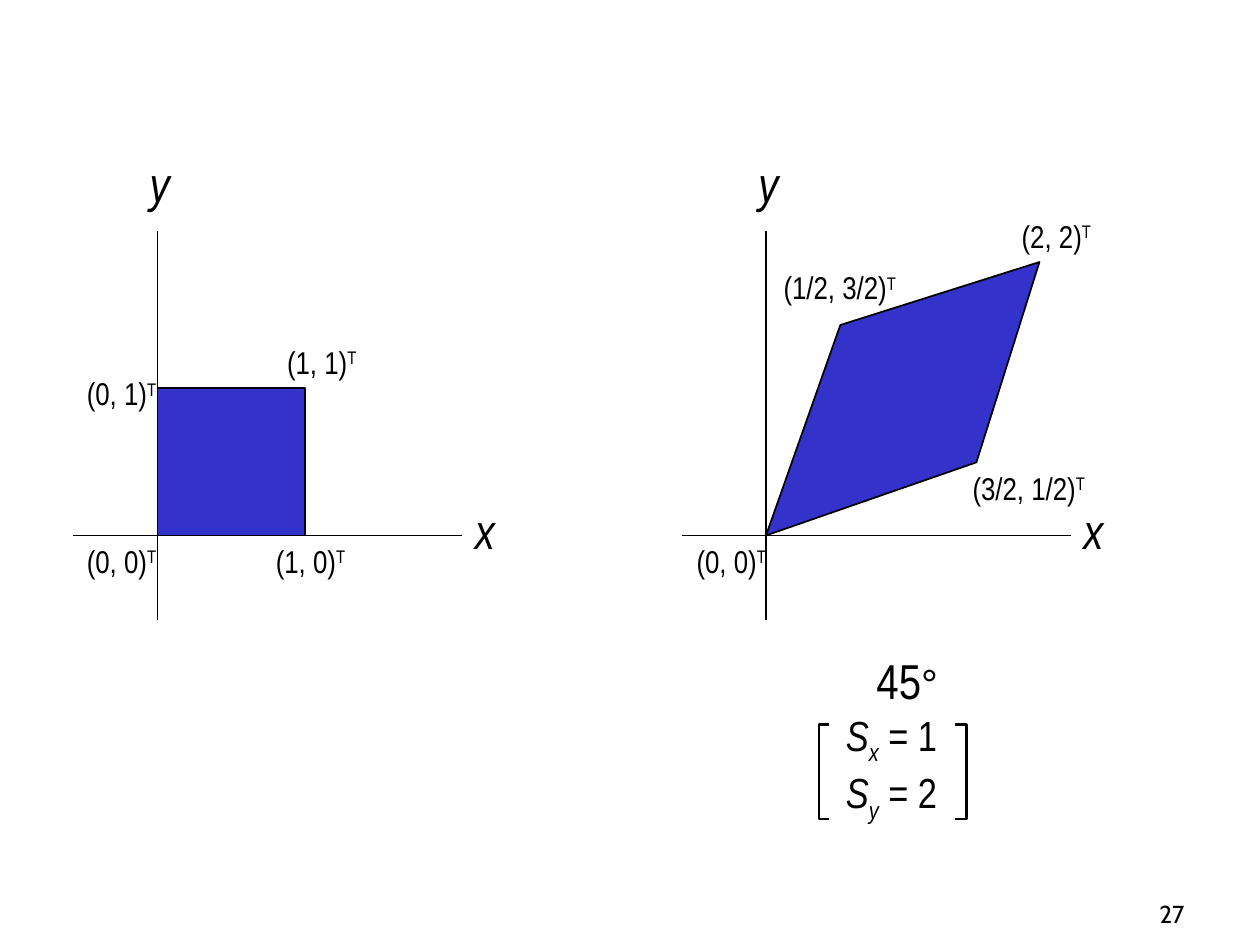
from pptx import Presentation
from pptx.dml.color import RGBColor
from pptx.enum import shapes, text
from pptx.oxml import ns, xmlchemy
from pptx.util import Inches, Pt

BLACK = RGBColor(0x00, 0x00, 0x00)
BLUE = RGBColor(0x33, 0x33, 0xCC)
LABEL_FONT = "Arial Narrow"
NUMBER_FONT = "Cabin"
ORIGIN_Y = 4.25
LEFT_X, RIGHT_X = 1.25, 6.08
UNIT = 1.17


def add_run(paragraph, content, size, italic=False, baseline=0, font=LABEL_FONT):
    """Add a black run, raised or lowered by a baseline percentage."""
    run = paragraph.add_run()
    run.text = content
    run.font.name = font
    run.font.size = Pt(size)
    run.font.italic = italic
    run.font.color.rgb = BLACK
    if baseline:
        run.font._element.set("baseline", str(baseline * 1000))


def add_text_frame(slide, left, top, width, height):
    """Add an unwrapped text box and return its text frame."""
    box = slide.shapes.add_textbox(*map(Inches, (left, top, width, height)))
    frame = box.text_frame
    frame.word_wrap = False
    frame.auto_size = text.MSO_AUTO_SIZE.SHAPE_TO_FIT_TEXT
    return frame


def add_axis(slide, start, end):
    """Add a thin black line between two points."""
    line = slide.shapes.add_connector(
        shapes.MSO_CONNECTOR.STRAIGHT, *map(Inches, start + end))
    line.line.color.rgb = BLACK
    line.line.width = Pt(1)
    line._element.spPr.append(xmlchemy.OxmlElement("a:effectLst"))


def add_axis_name(slide, name, left, top):
    """Add the italic name of an axis."""
    frame = add_text_frame(slide, left, top, 0.36, 0.57)
    add_run(frame.paragraphs[0], name, 28, italic=True)


def add_axes(slide, origin_x):
    """Add a named pair of axes crossing at the origin."""
    add_axis(slide, (origin_x - 0.67, ORIGIN_Y), (origin_x + 2.42, ORIGIN_Y))
    add_axis(slide, (origin_x, ORIGIN_Y + 0.67), (origin_x, ORIGIN_Y - 2.42))
    add_axis_name(slide, "x", origin_x + 2.42, 3.92)
    add_axis_name(slide, "y", origin_x - 0.16, 1.17)


def add_point_label(slide, point, left, top):
    """Add the coordinates of a point as a transposed vector."""
    width = 1.09 if "/" in point else 0.75
    paragraph = add_text_frame(slide, left, top, width, 0.4).paragraphs[0]
    add_run(paragraph, point, 18)
    add_run(paragraph, "T", 18, baseline=30)


def style_shape(shape, line_width, fill=None):
    """Give a shape a black outline, an optional fill and no shadow."""
    shape.shadow.inherit = False
    shape.line.color.rgb = BLACK
    shape.line.width = Pt(line_width)
    if fill is None:
        shape.fill.background()
    else:
        shape.fill.solid()
        shape.fill.fore_color.rgb = fill


def add_outline(slide, points, line_width, fill=None):
    """Add a freeform, closed only when it is filled."""
    start, *others = [(Inches(x), Inches(y)) for x, y in points]
    builder = slide.shapes.build_freeform(*start)
    builder.add_line_segments(others, close=fill is not None)
    style_shape(builder.convert_to_shape(), line_width, fill)


def add_unit_square(slide):
    """Add the square before scaling."""
    square = slide.shapes.add_shape(
        shapes.MSO_SHAPE.RECTANGLE,
        *map(Inches, (LEFT_X, ORIGIN_Y - UNIT, UNIT, UNIT)))
    style_shape(square, 1, BLUE)


def add_scale_factors(slide):
    """Add the angle and the bracketed scale factors."""
    frame = add_text_frame(slide, 6.6, 5.11, 0.95, 1.48)
    frame.vertical_anchor = text.MSO_ANCHOR.MIDDLE
    angle = frame.paragraphs[0]
    add_run(angle, "45", 28)
    add_run(angle, "°", 24)
    angle._p.get_or_add_pPr().set("marL", str(Inches(0.25)))
    for axis, factor in (("x", 1), ("y", 2)):
        paragraph = frame.add_paragraph()
        add_run(paragraph, "S", 24, italic=True)
        add_run(paragraph, axis, 24, italic=True, baseline=-25)
        add_run(paragraph, f" = {factor}", 24)
    for paragraph in frame.paragraphs:
        paragraph.alignment = text.PP_ALIGN.CENTER
    for tip, edge in ((6.58, 6.5), (7.58, 7.67)):
        add_outline(slide, [(tip, 5.75), (edge, 5.75), (edge, 6.5), (tip, 6.5)], 1.5)


def add_slide_number(slide, number):
    """Add the page number at the lower right."""
    frame = add_text_frame(slide, 7.42, 6.92, 2.08, 0.5)
    frame.word_wrap = True
    frame.auto_size = text.MSO_AUTO_SIZE.NONE
    frame.vertical_anchor = text.MSO_ANCHOR.BOTTOM
    frame.paragraphs[0].alignment = text.PP_ALIGN.RIGHT
    add_run(frame.paragraphs[0], number, 14, font=NUMBER_FONT)


def main():
    """Build the slide on scaling along a rotated axis."""
    presentation = Presentation()
    presentation.slide_width, presentation.slide_height = Inches(10), Inches(7.5)
    slide = presentation.slides.add_slide(presentation.slide_layouts[6])

    add_axes(slide, LEFT_X)
    add_unit_square(slide)
    add_axes(slide, RIGHT_X)
    for point, left, top in (
        ("(0, 0)", 0.59, 4.25), ("(1, 0)", 2.09, 4.25),
        ("(1, 1)", 2.18, 2.67), ("(0, 1)", 0.59, 2.92),
        ("(0, 0)", 5.43, 4.25), ("(3/2, 1/2)", 7.62, 3.67),
        ("(2, 2)", 8.01, 1.67), ("(1/2, 3/2)", 6.12, 2.08),
    ):
        add_point_label(slide, point, left, top)
    rhombus = [(RIGHT_X, ORIGIN_Y), (7.75, 3.67), (8.25, 2.08), (6.67, 2.58)]
    add_outline(slide, rhombus, 1, BLUE)
    add_scale_factors(slide)
    add_slide_number(slide, "27")
    presentation.save("out.pptx")


if __name__ == "__main__":
    main()
